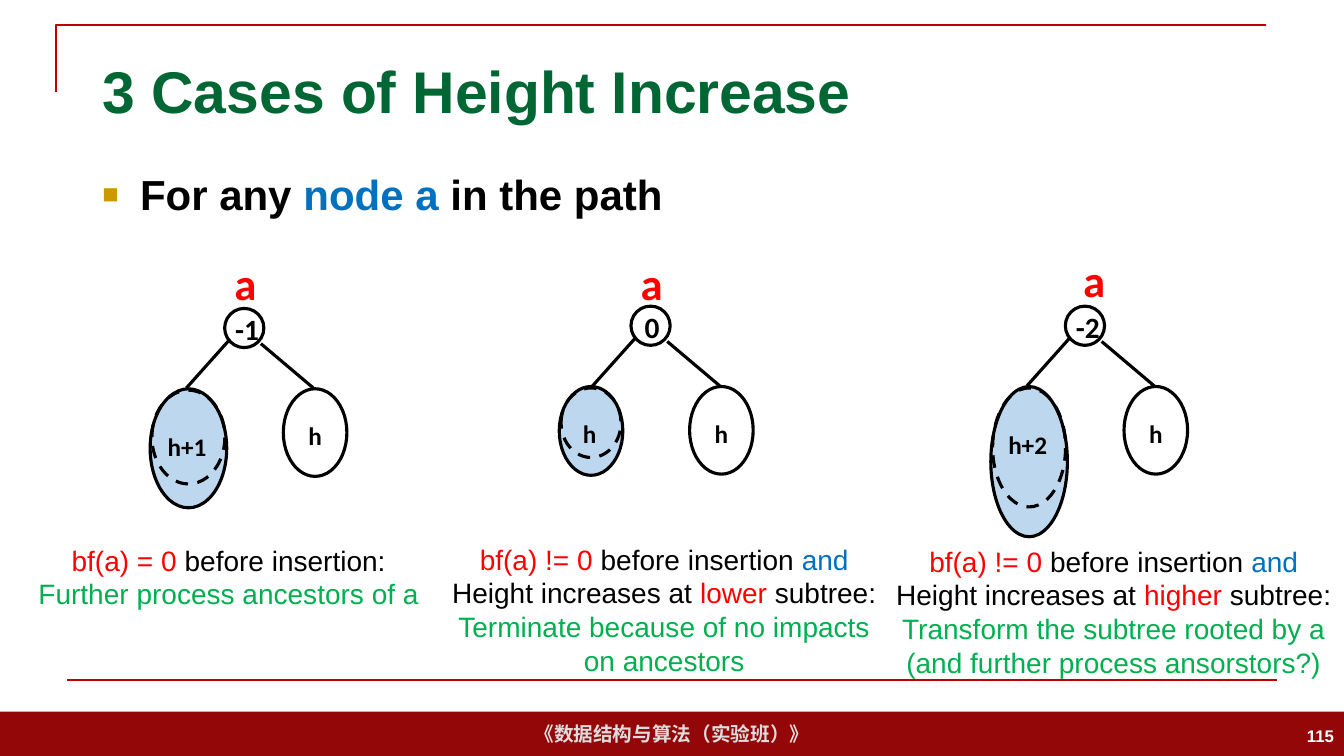
from lxml import etree
from pptx import Presentation
from pptx.dml.color import RGBColor
from pptx.enum.dml import MSO_LINE
from pptx.enum.shapes import MSO_CONNECTOR, MSO_SHAPE
from pptx.enum.text import MSO_ANCHOR, MSO_AUTO_SIZE, PP_ALIGN
from pptx.oxml.ns import qn
from pptx.util import Pt

LEFT, CENTER, RIGHT = PP_ALIGN.LEFT, PP_ALIGN.CENTER, PP_ALIGN.RIGHT
TOP, MIDDLE = MSO_ANCHOR.TOP, MSO_ANCHOR.MIDDLE
BLACK, RED, BLUE, GREEN = "000000", "FF0000", "0070C0", "00B050"
FRAME_RED, PALE_BLUE = "C00000", "BDD7EE"

# Content
TITLE = "3 Cases of Height Increase"
BULLET = [("For any ", BLACK), ("node a", BLUE), (" in the path", BLACK)]
FOOTER = "《数据结构与算法（实验班）》"
PAGE_NUMBER = "115"

UNEQUAL = [("bf(a) != 0 ", RED), ("before insertion ", BLACK), ("and", BLUE)]


def growth_line(side):
    return [("Height increases at ", BLACK), (side, RED), (" subtree:", BLACK)]


# root: left and top of the root circle; name: centre of "a" from that corner;
# subtree: centre x from that corner, width, height; old_height: dashed outline
CASES = [
    dict(root=(160.5, 220.3), balance="-1", balance_x=16, name=(14.8, -18.3),
         subtree=(-25.9, 54.7, 85), old_height=67, label="h+1", label_y=98.7,
         caption_box=(19.4, 384.5, 288, 55.4),
         caption=[[("bf(a) = 0 ", RED), ("before insertion:", BLACK)],
                  [("Further process ancestors of a", GREEN)]]),
    dict(root=(450.7, 218.7), balance="0", balance_x=15, name=(14.8, -16.7),
         subtree=(-28.5, 45.4, 63.4), old_height=49.7, label="h", label_y=90.8,
         caption_box=(310.3, 383.8, 328.3, 104.4),
         caption=[UNEQUAL, growth_line("lower"),
                  [("Terminate because of no impacts on ancestors", GREEN)]]),
    dict(root=(761, 218.7), balance="-2", balance_x=16, name=(20.6, -18.9),
         subtree=(-25.9, 54.7, 107.3), old_height=85, label="h+2", label_y=98.7,
         caption_box=(631.4, 385.2, 328.3, 104.4),
         caption=[UNEQUAL, growth_line("higher"),
                  [("Transform the subtree rooted by a", GREEN)],
                  [("(and further process ansorstors?)", GREEN)]]),
]
ROOT_SIZE = 28
SUBTREE_TOP = 57.4
RIGHT_SUBTREE = (64.6, 45.4, 62.6)
EDGES = [(2.9, 23, -27.4, 56.9), (25.9, 25.2, 63.4, 56.9)]

presentation = Presentation()
presentation.slide_width, presentation.slide_height = Pt(960), Pt(540)
slide = presentation.slides.add_slide(presentation.slide_layouts[5])
shapes = slide.shapes


def color(value):
    return RGBColor.from_string(value)


def write(shape, lines, size, font="Arial", bold=False, align=LEFT,
          anchor=TOP, wrap=True):
    frame = shape.text_frame
    frame.auto_size = MSO_AUTO_SIZE.NONE
    frame.word_wrap = wrap
    frame.vertical_anchor = anchor
    for index, line in enumerate(lines):
        paragraph = frame.add_paragraph() if index else frame.paragraphs[0]
        paragraph.alignment = align
        paragraph.font.name = font
        paragraph.font.size = Pt(size)
        paragraph.font.bold = bold
        for text, text_color in line:
            run = paragraph.add_run()
            run.text = text
            run.font.color.rgb = color(text_color)


def text_box(left, top, width, height, lines, size, **style):
    box = shapes.add_textbox(Pt(left), Pt(top), Pt(width), Pt(height))
    write(box, lines, size, **style)
    return box


def node_label(x, y, text, size, text_color=BLACK):
    width, height = 50, size * 1.7
    text_box(x - width / 2, y - height / 2, width, height, [[(text, text_color)]],
             size, font="Calibri", bold=True, align=CENTER, anchor=MIDDLE, wrap=False)


def line(x1, y1, x2, y2, line_color, width):
    connector = shapes.add_connector(MSO_CONNECTOR.STRAIGHT, Pt(x1), Pt(y1), Pt(x2), Pt(y2))
    connector.line.color.rgb = color(line_color)
    connector.line.width = Pt(width)
    etree.SubElement(connector.element.spPr, qn("a:effectLst"))


def ellipse(center_x, top, width, height, fill=None, dashed=False):
    shape = shapes.add_shape(MSO_SHAPE.OVAL, Pt(center_x - width / 2), Pt(top),
                             Pt(width), Pt(height))
    shape.shadow.inherit = False
    if fill:
        shape.fill.solid()
        shape.fill.fore_color.rgb = color(fill)
    else:
        shape.fill.background()
    shape.line.color.rgb = color(BLACK)
    shape.line.width = Pt(2.25)
    if dashed:
        shape.line.dash_style = MSO_LINE.DASH


# Footer band and frame lines
band = shapes.add_shape(MSO_SHAPE.RECTANGLE, Pt(0), Pt(508.3), Pt(960), Pt(31.7))
band.shadow.inherit = False
band.fill.solid()
band.fill.fore_color.rgb = color("940709")
band.line.fill.background()
write(band, [[(FOOTER, "DDDDDD")]], 14, bold=True, align=CENTER, anchor=MIDDLE, wrap=False)

builder = shapes.build_freeform(Pt(40), Pt(66))
builder.add_line_segments([(Pt(40), Pt(18)), (Pt(904), Pt(18))], close=False)
corner = builder.convert_to_shape()
corner.shadow.inherit = False
corner.fill.background()
corner.line.color.rgb = color(FRAME_RED)
corner.line.width = Pt(1.5)
line(48, 486, 912, 486, FRAME_RED, 1.5)

# Title, bullet and page number
title = shapes.title
title.left, title.top, title.width, title.height = Pt(66), Pt(29), Pt(828), Pt(71)
write(title, [[(TITLE, "006633")]], 42, bold=True, anchor=MIDDLE)

body = shapes.add_textbox(Pt(66), Pt(117), Pt(828), Pt(50))
properties = body.text_frame.paragraphs[0]._p.get_or_add_pPr()
properties.set("marL", str(Pt(27)))
properties.set("indent", str(-Pt(27)))
bullet_color = etree.SubElement(properties, qn("a:buClr"))
etree.SubElement(bullet_color, qn("a:srgbClr"), val="CC9900")
etree.SubElement(properties, qn("a:buSzPct"), val="65000")
etree.SubElement(properties, qn("a:buFont"), typeface="Arial")
etree.SubElement(properties, qn("a:buChar"), char="■")
write(body, [BULLET], 30, bold=True)

text_box(744, 511.2, 216, 28.8, [[(PAGE_NUMBER, "FFFFFF")]], 12,
         bold=True, align=RIGHT, anchor=MIDDLE)

# One tree and caption per case
for case in CASES:
    x, y = case["root"]
    ellipse(x + ROOT_SIZE / 2, y, ROOT_SIZE, ROOT_SIZE)
    node_label(x + case["balance_x"], y + 14.5, case["balance"], 21)
    name_x, name_y = case["name"]
    node_label(x + name_x, y + name_y, "a", 32, RED)

    for x1, y1, x2, y2 in EDGES:
        line(x + x1, y + y1, x + x2, y + y2, BLACK, 2.25)

    right_x, width, height = RIGHT_SUBTREE
    ellipse(x + right_x, y + SUBTREE_TOP, width, height)
    node_label(x + right_x, y + 90.8, "h", 18)

    left_x, width, height = case["subtree"]
    ellipse(x + left_x, y + SUBTREE_TOP, width, height, fill=PALE_BLUE)
    node_label(x + left_x - 1, y + case["label_y"], case["label"], 18)
    ellipse(x + left_x, y + SUBTREE_TOP + 1, width - 2.6, case["old_height"], dashed=True)

    text_box(*case["caption_box"], case["caption"], 20, align=CENTER)

presentation.save("out.pptx")
